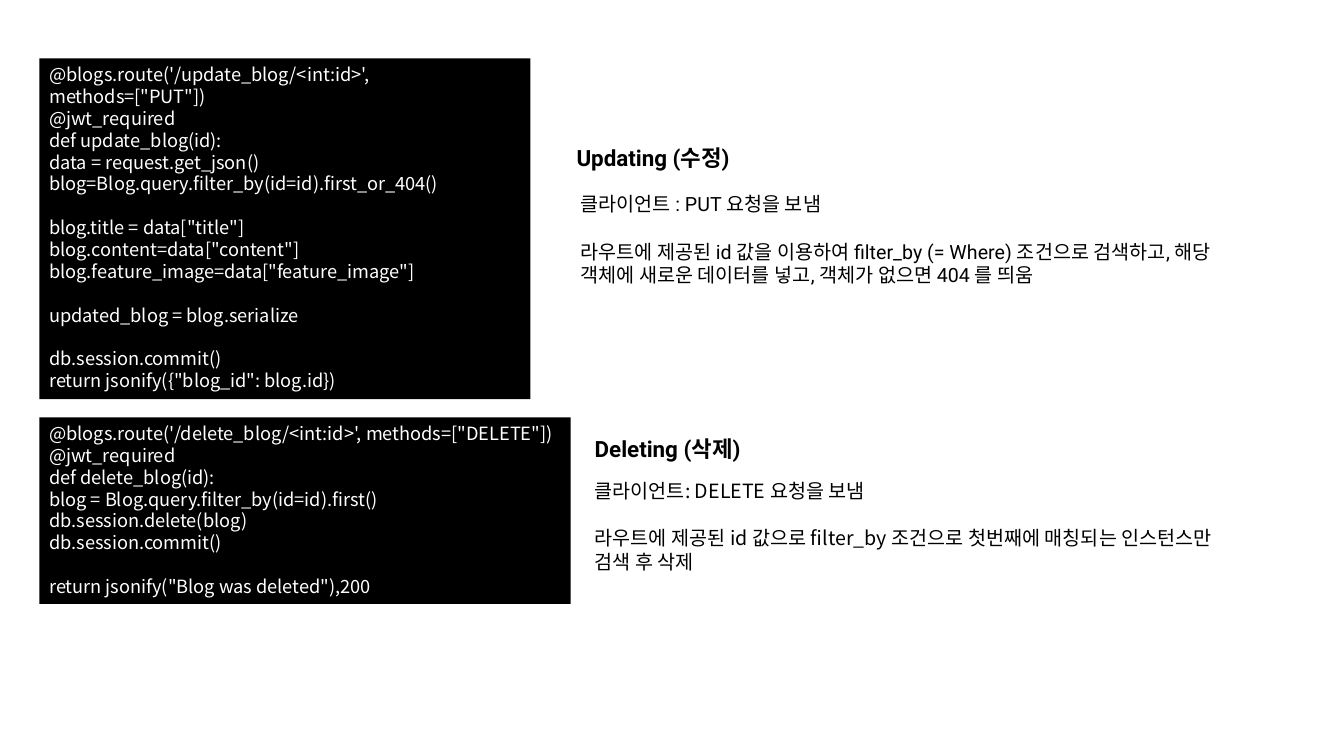
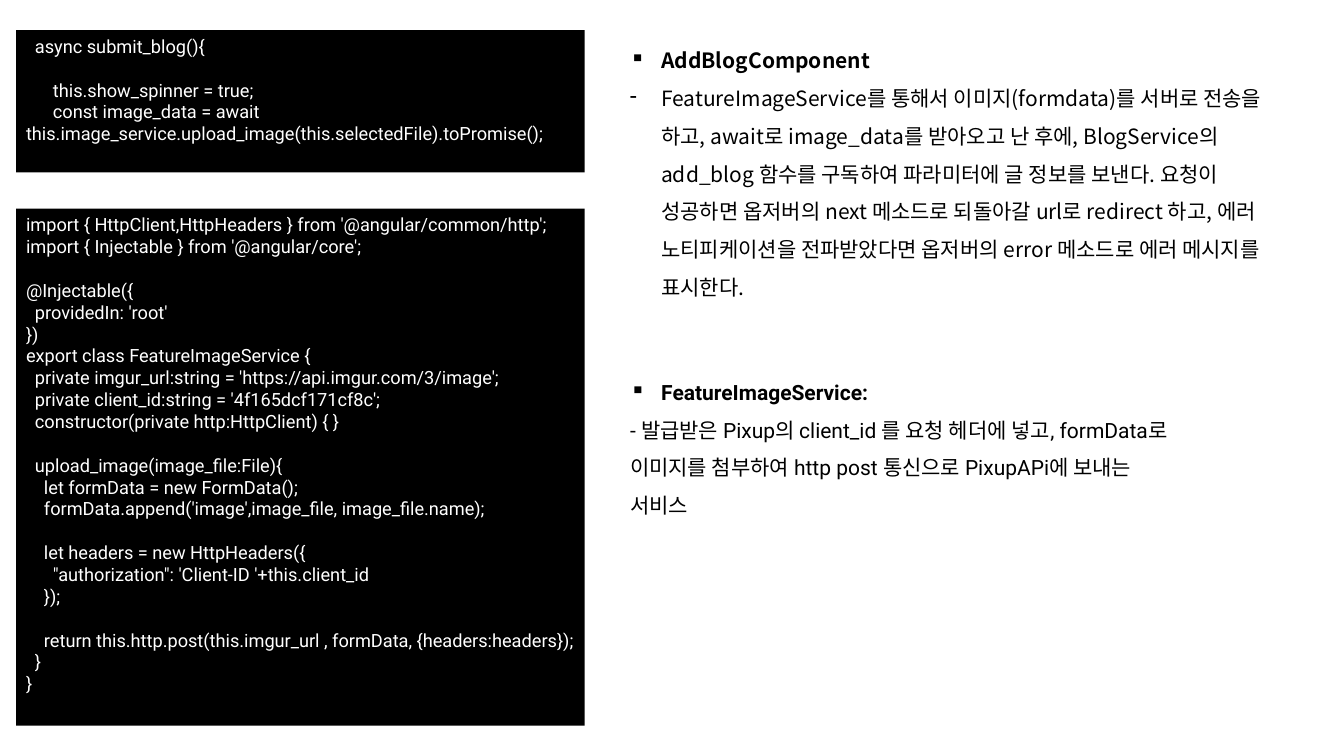
from dataclasses import dataclass

from lxml import etree
from pptx import Presentation
from pptx.dml.color import RGBColor
from pptx.enum.shapes import MSO_SHAPE
from pptx.enum.text import MSO_ANCHOR, MSO_AUTO_SIZE, PP_ALIGN
from pptx.oxml.ns import qn
from pptx.util import Inches, Pt

RECTANGLE = MSO_SHAPE.RECTANGLE
TOP = MSO_ANCHOR.TOP
LEFT = PP_ALIGN.LEFT
FIT_SHAPE = MSO_AUTO_SIZE.SHAPE_TO_FIT_TEXT

COLORS = {"panel": "000000", "code": "FFFFFF", "text": "000000"}
NOTO = "Noto Sans CJK KR"
ROBOTO = "Roboto"

CODE_SIZE = 13
CODE_LINE = 15.6
NOTE_GAP = 17
HANGING = 0.31
BLANK_LAYOUT = 6


@dataclass(frozen=True)
class Box:
    left: float
    top: float
    width: float
    height: float

    def lengths(self) -> tuple:
        return tuple(Inches(value) for value in (self.left, self.top, self.width, self.height))


@dataclass(frozen=True)
class CodePanel:
    box: Box
    font: str
    code: str


@dataclass(frozen=True)
class Line:
    text: str
    bold: bool = False
    bullet: str = ""
    gap: float = 0


@dataclass(frozen=True)
class Note:
    box: Box
    font: str
    size: float
    lines: tuple[Line, ...]
    spacing: float = 1.0
    wrap: bool = True


UPDATE_CODE = """\
@blogs.route('/update_blog/<int:id>', methods=["PUT"])
@jwt_required
def update_blog(id):
data = request.get_json()
blog=Blog.query.filter_by(id=id).first_or_404()

blog.title = data["title"]
blog.content=data["content"]
blog.feature_image=data["feature_image"]

updated_blog = blog.serialize

db.session.commit()
return jsonify({"blog_id": blog.id})"""

DELETE_CODE = """\
@blogs.route('/delete_blog/<int:id>', methods=["DELETE"])
@jwt_required
def delete_blog(id):
blog = Blog.query.filter_by(id=id).first()
db.session.delete(blog)
db.session.commit()

return jsonify("Blog was deleted"),200"""

SUBMIT_CODE = """\
  async submit_blog(){

      this.show_spinner = true;
      const image_data = await this.image_service.upload_image(this.selectedFile).toPromise();"""

SERVICE_CODE = """\
import { HttpClient,HttpHeaders } from '@angular/common/http';
import { Injectable } from '@angular/core';

@Injectable({
  providedIn: 'root'
})
export class FeatureImageService {
  private imgur_url:string = 'https://api.imgur.com/3/image';
  private client_id:string = '4f165dcf171cf8c';
  constructor(private http:HttpClient) { }

  upload_image(image_file:File){
    let formData = new FormData();
    formData.append('image',image_file, image_file.name);

    let headers = new HttpHeaders({
      "authorization": 'Client-ID '+this.client_id
    });

    return this.http.post(this.imgur_url , formData, {headers:headers});
  }
}"""

SLIDES = (
    (
        CodePanel(Box(0.39, 0.58, 4.87, 3.38), NOTO, UPDATE_CODE),
        Note(Box(5.62, 1.38, 1.84, 0.37), ROBOTO, 16,
             (Line("Updating (수정)", bold=True),), wrap=False),
        Note(Box(5.66, 1.86, 6.67, 1.04), ROBOTO, 14, (
            Line("클라이언트 : PUT 요청을 보냄"),
            Line("라우트에 제공된 id 값을 이용하여 filter_by (= Where) 조건으로 검색하고, "
                 "해당 객체에 새로운 데이터를 넣고, 객체가 없으면 404 를 띄움", gap=NOTE_GAP),
        )),
        CodePanel(Box(0.39, 4.14, 5.27, 1.85), NOTO, DELETE_CODE),
        Note(Box(5.8, 4.27, 1.75, 0.37), ROBOTO, 16,
             (Line("Deleting (삭제)", bold=True),), wrap=False),
        Note(Box(5.8, 4.7, 6.67, 1.04), NOTO, 14, (
            Line("클라이언트: DELETE 요청을 보냄"),
            Line("라우트에 제공된 id 값으로 filter_by 조건으로 첫번째에 매칭되는 "
                 "인스턴스만 검색 후 삭제", gap=NOTE_GAP),
        )),
    ),
    (
        CodePanel(Box(0.16, 0.3, 5.64, 1.41), ROBOTO, SUBMIT_CODE),
        Note(Box(6.15, 0.3, 6.76, 2.7), NOTO, 15, (
            Line("AddBlogComponent", bold=True, bullet="▪"),
            Line("FeatureImageService를 통해서 이미지(formdata)를 서버로 전송을 하고, "
                 "await로 image_data를 받아오고 난 후에, BlogService의 add_blog 함수를 "
                 "구독하여 파라미터에 글 정보를 보낸다. 요청이 성공하면 옵저버의 next "
                 "메소드로 되돌아갈 url로 redirect 하고, 에러 노티피케이션을 전파받았다면 "
                 "옵저버의 error 메소드로 에러 메시지를 표시한다.", bullet="-"),
        ), spacing=1.5),
        CodePanel(Box(0.16, 2.07, 5.64, 5.13), ROBOTO, SERVICE_CODE),
        Note(Box(6.15, 3.59, 5.75, 1.57), ROBOTO, 15, (
            Line("FeatureImageService:", bold=True, bullet="▪"),
            Line("- 발급받은 Pixup의 client_id 를 요청 헤더에 넣고, formData로 이미지를 "
                 "첨부하여 http post 통신으로 PixupAPi에 보내는 서비스"),
        ), spacing=1.5),
    ),
)


def rgb(name: str) -> RGBColor:
    return RGBColor.from_string(COLORS[name])


def code_lines(code: str) -> tuple[Line, ...]:
    """Turn each blank source line into space before the next line."""
    lines = []
    gap = 0
    for text in code.splitlines():
        if text:
            lines.append(Line(text, gap=gap))
            gap = 0
        else:
            gap += CODE_LINE
    return tuple(lines)


def add_bullet(paragraph, character: str) -> None:
    properties = paragraph._p.get_or_add_pPr()
    properties.set("marL", str(Inches(HANGING)))
    properties.set("indent", str(-Inches(HANGING)))
    etree.SubElement(properties, qn("a:buChar")).set("char", character)


def write_lines(frame, lines: tuple[Line, ...], font: str, size: float,
                color: str, spacing: float = 1.0) -> None:
    for index, line in enumerate(lines):
        paragraph = frame.add_paragraph() if index else frame.paragraphs[0]
        if line.bullet:
            add_bullet(paragraph, line.bullet)
        paragraph.alignment = LEFT
        paragraph.line_spacing = spacing
        if line.gap:
            paragraph.space_before = Pt(line.gap)
        run = paragraph.add_run()
        run.text = line.text
        run.font.name = font
        run.font.size = Pt(size)
        run.font.bold = line.bold
        run.font.color.rgb = rgb(color)


def add_code_panel(slide, panel: CodePanel) -> None:
    shape = slide.shapes.add_shape(RECTANGLE, *panel.box.lengths())
    shape.shadow.inherit = False
    shape.fill.solid()
    shape.fill.fore_color.rgb = rgb("panel")
    shape.line.fill.background()
    frame = shape.text_frame
    frame.word_wrap = True
    frame.vertical_anchor = TOP
    write_lines(frame, code_lines(panel.code), panel.font, CODE_SIZE, "code")


def add_note(slide, note: Note) -> None:
    frame = slide.shapes.add_textbox(*note.box.lengths()).text_frame
    frame.word_wrap = note.wrap
    if not note.wrap:
        frame.auto_size = FIT_SHAPE
    write_lines(frame, note.lines, note.font, note.size, "text", note.spacing)


def main() -> None:
    presentation = Presentation()
    presentation.slide_width = Inches(13.33)
    presentation.slide_height = Inches(7.5)
    for elements in SLIDES:
        slide = presentation.slides.add_slide(presentation.slide_layouts[BLANK_LAYOUT])
        for element in elements:
            if isinstance(element, CodePanel):
                add_code_panel(slide, element)
            else:
                add_note(slide, element)
    presentation.save("out.pptx")


if __name__ == "__main__":
    main()
